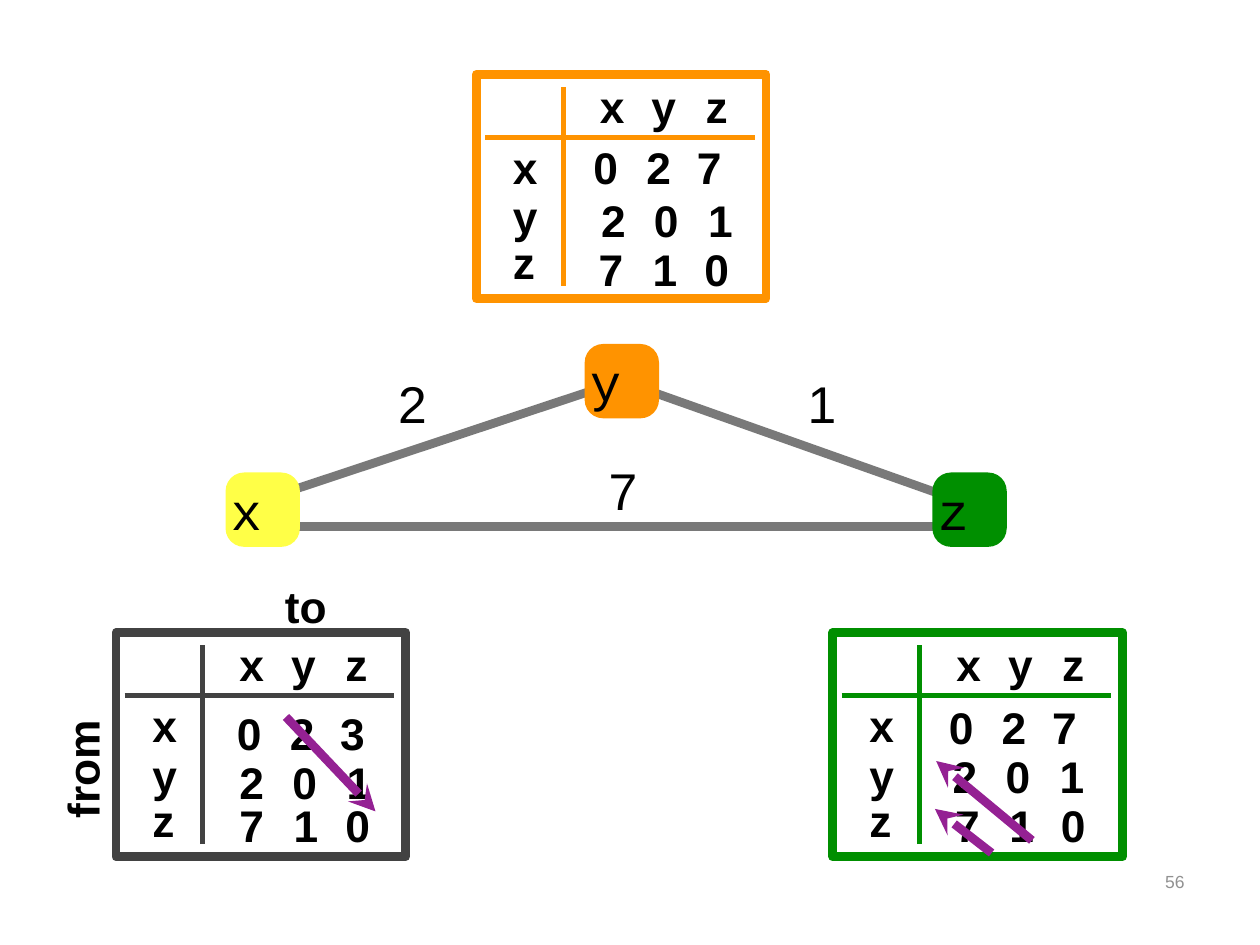
from typing import NamedTuple

from lxml.etree import SubElement
from pptx import Presentation
from pptx.dml.color import RGBColor
from pptx.enum.shapes import MSO_CONNECTOR, MSO_SHAPE
from pptx.enum.text import MSO_ANCHOR, PP_ALIGN
from pptx.oxml.ns import qn
from pptx.util import Emu, Pt

PX = 9144  # 100 px to the inch


class Theme(NamedTuple):
    sans: str = "Arial"
    mono: str = "Courier New"
    ink: str = "000000"
    pale: str = "919191"
    edge: str = "797979"
    mark: str = "942193"
    gray: str = "424242"
    gold: str = "FF9300"
    green: str = "008F00"
    lemon: str = "FFFF47"
    cell: float = 25.3
    node: float = 29.5
    page: float = 10
    thick: float = 5
    thin: float = 3


class Box(NamedTuple):
    left: int
    top: int
    width: int
    height: int


class Cols(NamedTuple):
    """Column offsets and cell widths of one row."""
    steps: tuple[int, ...]
    widths: tuple[int, ...]


class Row(NamedTuple):
    """Digits of one row and where they start inside their grid."""
    text: str
    left: int
    top: int


class Grid(NamedTuple):
    left: int
    top: int
    color: str
    rows: tuple[Row, ...]


class Node(NamedTuple):
    name: str
    left: int
    top: int
    color: str


class Line(NamedTuple):
    x1: int
    y1: int
    x2: int
    y2: int


THEME = Theme()
NAMES = "xyz"
HEAD = Cols((0, 41, 84), (29, 29, 29))
COLS = (
    Cols((0, 42, 82), (29, 29, 29)),
    Cols((0, 42, 85), (19, 19, 15)),
    Cols((0, 43, 84), (19, 19, 21)),
)
SIDE_TOPS = (48, 87, 123)

GRIDS = (
    Grid(378, 59, THEME.gold,
         (Row("027", 89, 48), Row("201", 95, 90), Row("710", 93, 129))),
    Grid(92, 502, THEME.gray,
         (Row("023", 92, 54), Row("201", 94, 93), Row("710", 94, 127))),
    Grid(661, 502, THEME.green,
         (Row("027", 88, 49), Row("201", 91, 88), Row("710", 93, 127))),
)
NODES = (
    Node("x", 179, 375, THEME.lemon),
    Node("z", 740, 375, THEME.green),
    Node("y", 464, 273, THEME.gold),
)
EDGES = (
    Line(476, 308, 223, 392),
    Line(230, 418, 763, 418),
    Line(509, 308, 763, 398),
)
COSTS = (("7", 479, 360), ("2", 312, 291), ("1", 637, 291))
MARKS = (
    Line(298, 644, 227, 569),
    Line(742, 642, 787, 677),
    Line(743, 604, 819, 667),
)


def paint(name: str) -> RGBColor:
    return RGBColor.from_string(name)


def scale(*sizes: int) -> list[Emu]:
    return [Emu(size * PX) for size in sizes]


def write(shape, text: str, size: float, font: str = THEME.sans,
          bold: bool = False, color: str = THEME.ink, inset: int = 4) -> None:
    frame = shape.text_frame
    frame.word_wrap = True
    frame.vertical_anchor = MSO_ANCHOR.MIDDLE
    frame.margin_left = frame.margin_right = Emu(inset * PX)
    frame.margin_top = frame.margin_bottom = Emu(inset * PX)
    para = frame.paragraphs[0]
    para.alignment = PP_ALIGN.LEFT
    run = para.add_run()
    run.text = text
    run.font.name = font
    run.font.size = Pt(size)
    run.font.bold = bold
    run.font.color.rgb = paint(color)


def label(slide, box: Box, text: str, size: float = THEME.cell,
          bold: bool = True):
    shape = slide.shapes.add_textbox(*scale(*box))
    write(shape, text, size, bold=bold)
    return shape


def rule(slide, line: Line, color: str, width: float,
         arrow: bool = False) -> None:
    """Draw a straight line, with an arrowhead at its start if asked."""
    shape = slide.shapes.add_connector(MSO_CONNECTOR.STRAIGHT, *scale(*line))
    shape.line.color.rgb = paint(color)
    shape.line.width = Pt(width)
    if arrow:
        SubElement(shape.line._get_or_add_ln(), qn("a:headEnd"), type="stealth")
    SubElement(shape._element.spPr, qn("a:effectLst"))


def draw_node(slide, node: Node) -> None:
    shape = slide.shapes.add_shape(
        MSO_SHAPE.ROUNDED_RECTANGLE, *scale(node.left, node.top, 59, 59))
    shape.adjustments[0] = 0.25
    shape.shadow.inherit = False
    shape.fill.solid()
    shape.fill.fore_color.rgb = paint(node.color)
    shape.line.fill.background()
    write(shape, node.name, THEME.node, font=THEME.mono, inset=0)


def draw_row(slide, text: str, left: int, top: int, cols: Cols,
             height: int = 51) -> None:
    for char, step, width in zip(text, cols.steps, cols.widths):
        label(slide, Box(left + step, top, width, height), char)


def draw_grid(slide, grid: Grid) -> None:
    left, top = grid.left, grid.top
    frame = slide.shapes.add_shape(
        MSO_SHAPE.RECTANGLE, *scale(left, top, 230, 178))
    frame.shadow.inherit = False
    frame.fill.background()
    frame.line.color.rgb = paint(grid.color)
    frame.line.width = Pt(THEME.thick)
    across = Line(left + 7, top + 50, left + 221, top + 50)
    down = Line(left + 69, top + 168, left + 69, top + 10)
    for line in (across, down):
        rule(slide, line, grid.color, THEME.thin)
    draw_row(slide, NAMES, left + 94, top + 2, HEAD, 46)
    for name, side, row, cols in zip(NAMES, SIDE_TOPS, grid.rows, COLS):
        label(slide, Box(left + 25, top + side, 26, 51), name)
        draw_row(slide, row.text, left + row.left, top + row.top, cols)


def main() -> None:
    deck = Presentation()
    deck.slide_width, deck.slide_height = scale(1000, 750)
    slide = deck.slides.add_slide(deck.slide_layouts[6])
    for edge in EDGES:
        rule(slide, edge, THEME.edge, THEME.thick)
    for node in NODES:
        draw_node(slide, node)
    for cost, left, top in COSTS:
        label(slide, Box(left, top, 29, 58), cost, THEME.node, bold=False)
    for grid in GRIDS:
        draw_grid(slide, grid)
    label(slide, Box(9, 572, 112, 51), "from").rotation = 270
    label(slide, Box(222, 455, 51, 51), "to")
    for mark in MARKS:
        rule(slide, mark, THEME.mark, THEME.thick, arrow=True)
    page = slide.shapes.add_textbox(*scale(717, 683, 233, 50))
    write(page, "56", THEME.page, color=THEME.pale, inset=10)
    page.text_frame.vertical_anchor = MSO_ANCHOR.MIDDLE
    page.text_frame.paragraphs[0].alignment = PP_ALIGN.RIGHT
    page.text_frame.vertical_anchor = MSO_ANCHOR.TOP
    deck.save("out.pptx")


if __name__ == "__main__":
    main()
